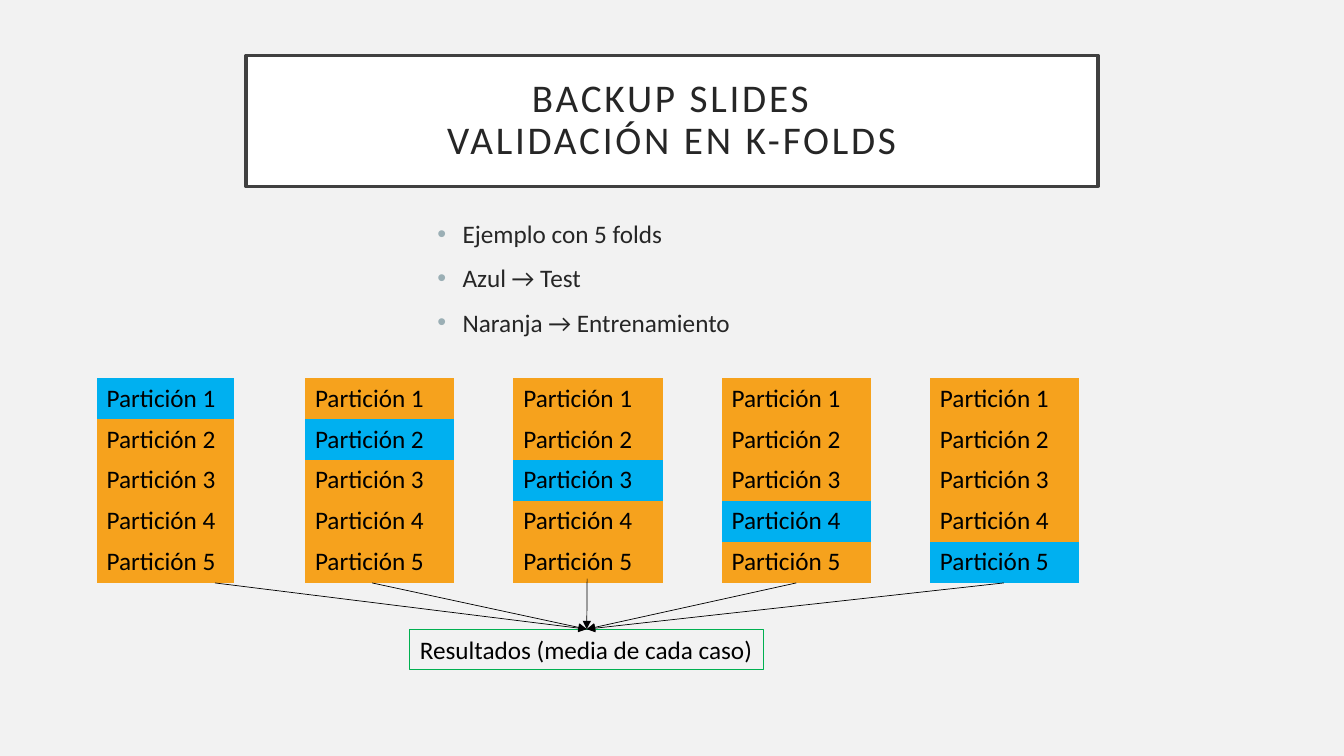
"""Build the k-fold validation slide on a 16 by 9 grid."""
import dataclasses

import lxml.etree
import pptx
import pptx.dml.color
import pptx.enum.shapes
import pptx.enum.text
import pptx.oxml.ns
import pptx.util

qn = pptx.oxml.ns.qn
SubElement = lxml.etree.SubElement
Color = pptx.dml.color.RGBColor.from_string
Anchor = pptx.enum.text.MSO_ANCHOR
Align = pptx.enum.text.PP_ALIGN
WIDTH, HEIGHT = pptx.util.Inches(13.33), pptx.util.Inches(7.5)


@dataclasses.dataclass(frozen=True)
class Theme:
    font: str = "Calibri"
    title_size: int = 28
    body_size: int = 18
    background: str = "F2F2F2"
    panel: str = "FFFFFF"
    frame: str = "404040"
    text: str = "262626"
    ink: str = "000000"
    bullet: str = "9BAFB5"
    test: str = "00B0F0"
    training: str = "F6A21D"
    results: str = "00B050"


@dataclasses.dataclass(frozen=True)
class Box:
    col: float
    row: float
    cols: float
    rows: float

    def emu(self) -> tuple[int, int, int, int]:
        return x(self.col), y(self.row), x(self.cols), y(self.rows)


@dataclasses.dataclass(frozen=True)
class Fold:
    cols: float
    arrow_col: float
    arrow_row: float = 6.94


THEME = Theme()
TITLE = Box(2.93, 0.66, 10.14, 1.56)
BODY = Box(5.09, 2.54, 3.82, 4.07)
RESULTS = Box(4.88, 7.49, 4.21, 0.48)
FOLD_LEFT, FOLD_TOP, FOLD_PITCH, FOLD_ROWS = 1.15, 4.5, 2.48, 2.44
FOLDS = [
    Fold(1.64, 2.56),
    Fold(1.78, 4.43),
    Fold(1.78, 6.99, 6.89),
    Fold(1.78, 9.48),
    Fold(1.78, 11.95),
]
TITLE_LINES = ["BACKUP SLIDES", "VALIDACIÓN EN K-FOLDS"]
BULLETS = ["Ejemplo con 5 folds", "Azul → Test", "Naranja → Entrenamiento"]


def x(cols: float) -> int:
    return round(WIDTH * cols / 16)


def y(rows: float) -> int:
    return round(HEIGHT * rows / 9)


def add_run(p, text: str, color: str, size: int = THEME.body_size):
    r = p.add_run()
    r.text = text
    r.font.name = THEME.font
    r.font.size = pptx.util.Pt(size)
    r.font.color.rgb = Color(color)
    return r


def add_rectangle(s, box: Box, line: str, width: float, fill: str | None = None):
    sp = s.shapes.add_shape(pptx.enum.shapes.MSO_SHAPE.RECTANGLE, *box.emu())
    sp.shadow.inherit = False
    if fill:
        sp.fill.solid()
        sp.fill.fore_color.rgb = Color(fill)
    else:
        sp.fill.background()
    sp.line.color.rgb = Color(line)
    sp.line.width = pptx.util.Pt(width)
    return sp


def add_title(s) -> None:
    sp = add_rectangle(s, TITLE, THEME.frame, 2.5, THEME.panel)
    tf = sp.text_frame
    tf.word_wrap = True
    tf.vertical_anchor = Anchor.MIDDLE
    tf.margin_left = tf.margin_right = pptx.util.Inches(0.2)
    tf.margin_top = tf.margin_bottom = pptx.util.Inches(0.2)
    p = tf.paragraphs[0]
    p.alignment = Align.CENTER
    p.line_spacing = 0.9
    for i, line in enumerate(TITLE_LINES):
        if i:
            p.add_line_break()
        r = add_run(p, line, THEME.text, THEME.title_size)
        r.font._element.set("spc", "200")


def add_bullets(s) -> None:
    tf = s.shapes.add_textbox(*BODY.emu()).text_frame
    tf.word_wrap = True
    for i, text in enumerate(BULLETS):
        p = tf.add_paragraph() if i else tf.paragraphs[0]
        pPr = p._p.get_or_add_pPr()
        indent = pptx.util.Inches(0.25)
        pPr.set("marL", str(indent))
        pPr.set("indent", str(-indent))
        color = SubElement(pPr, qn("a:buClr"))
        SubElement(color, qn("a:srgbClr"), val=THEME.bullet)
        SubElement(pPr, qn("a:buFont"), typeface="Arial")
        SubElement(pPr, qn("a:buChar"), char="•")
        if i:
            p.space_before = pptx.util.Pt(10)
        add_run(p, text, THEME.text)


def add_fold(s, index: int, fold: Fold) -> None:
    box = Box(FOLD_LEFT + index * FOLD_PITCH, FOLD_TOP, fold.cols, FOLD_ROWS)
    table = s.shapes.add_table(len(FOLDS), 1, *box.emu()).table
    table.first_row = table.horz_banding = False
    for part in range(len(FOLDS)):
        cell = table.cell(part, 0)
        tcPr = cell._tc.get_or_add_tcPr()
        for side in ("a:lnL", "a:lnR", "a:lnT", "a:lnB"):
            SubElement(SubElement(tcPr, qn(side), w="0"), qn("a:noFill"))
        cell.fill.solid()
        cell.fill.fore_color.rgb = Color(THEME.test if part == index else THEME.training)
        add_run(cell.text_frame.paragraphs[0], f"Partición {part + 1}", THEME.ink)


def add_results(s):
    sp = add_rectangle(s, RESULTS, THEME.results, 0.75)
    tf = sp.text_frame
    tf.word_wrap = False
    tf.auto_size = pptx.enum.text.MSO_AUTO_SIZE.SHAPE_TO_FIT_TEXT
    tf.vertical_anchor = Anchor.TOP
    p = tf.paragraphs[0]
    p.alignment = Align.LEFT
    add_run(p, "Resultados (media de cada caso)", THEME.ink)
    return sp


def add_arrow(s, fold: Fold, target) -> None:
    start = x(fold.arrow_col), y(fold.arrow_row)
    end = x(RESULTS.col + RESULTS.cols / 2), y(RESULTS.row)
    line = s.shapes.add_connector(pptx.enum.shapes.MSO_CONNECTOR.STRAIGHT, *start, *end)
    line.end_connect(target, 0)
    line.line.color.rgb = Color(THEME.ink)
    line.line.width = pptx.util.Pt(0.5)
    SubElement(line.line._get_or_add_ln(), qn("a:tailEnd"), type="triangle")
    SubElement(line._element.spPr, qn("a:effectLst"))


def main() -> None:
    prs = pptx.Presentation()
    prs.slide_width, prs.slide_height = WIDTH, HEIGHT
    s = prs.slides.add_slide(prs.slide_layouts[6])
    s.background.fill.solid()
    s.background.fill.fore_color.rgb = Color(THEME.background)
    add_title(s)
    add_bullets(s)
    for index, fold in enumerate(FOLDS):
        add_fold(s, index, fold)
    results = add_results(s)
    for fold in FOLDS:
        add_arrow(s, fold, results)
    prs.save("out.pptx")


if __name__ == "__main__":
    main()
